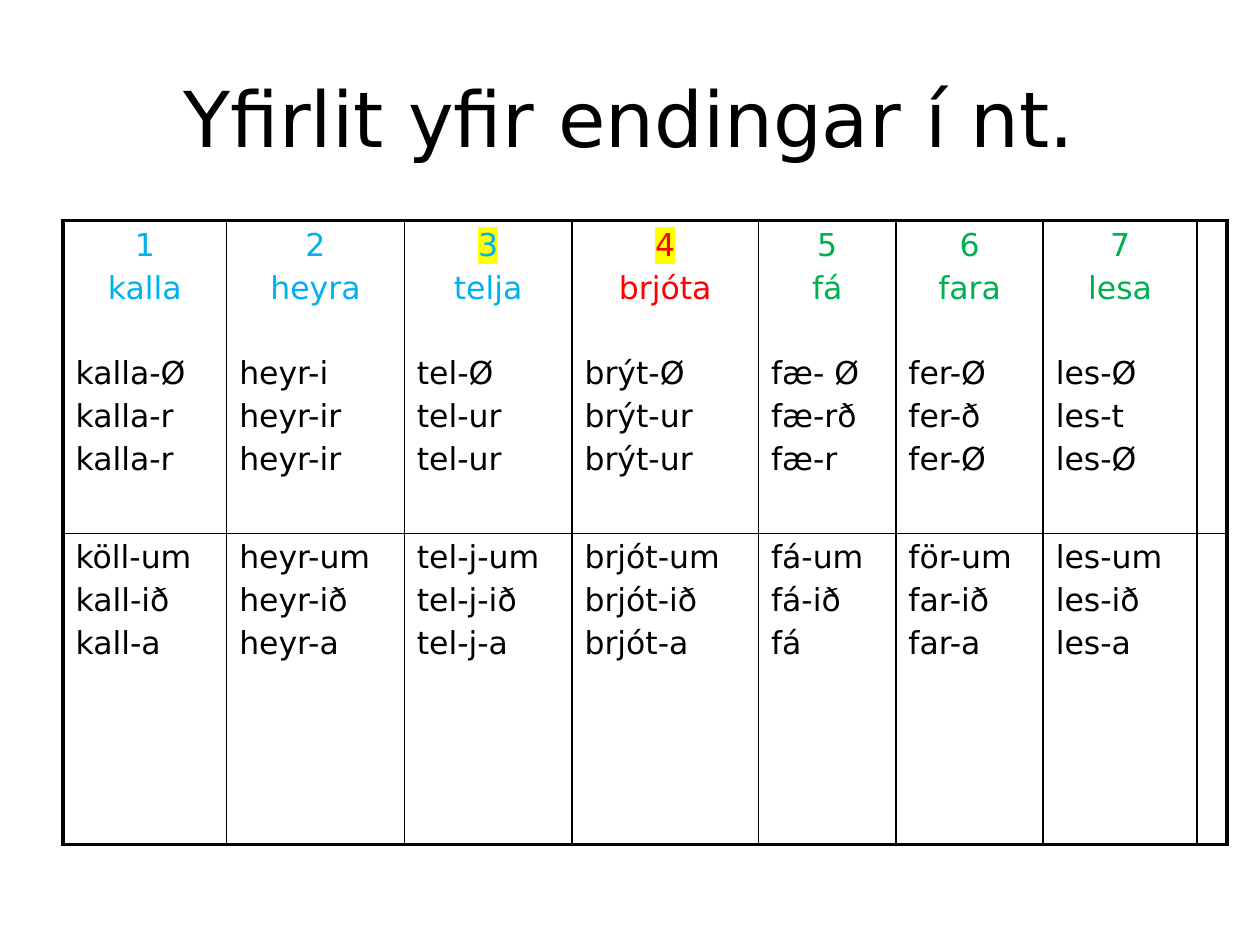
from lxml import etree
from pptx import Presentation
from pptx.dml.color import RGBColor
from pptx.enum.text import MSO_ANCHOR, PP_ALIGN
from pptx.oxml.ns import qn
from pptx.util import Cm, Pt

CENTER, LEFT = PP_ALIGN.CENTER, PP_ALIGN.LEFT
MIDDLE = MSO_ANCHOR.MIDDLE
FONT = "DejaVu Sans"
COLORS = {"black": "000000", "blue": "00B0F0", "red": "FF0000",
          "green": "00B050", "yellow": "FFFF00"}

TITLE = "Yfirlit yfir endingar í nt."
# number, verb, colour, number highlighted, singular forms, plural forms, width in cm
VERBS = [
    ("1", "kalla", "blue", False, ("kalla-Ø", "kalla-r", "kalla-r"),
     ("köll-um", "kall-ið", "kall-a"), 3.3),
    ("2", "heyra", "blue", False, ("heyr-i", "heyr-ir", "heyr-ir"),
     ("heyr-um", "heyr-ið", "heyr-a"), 3.58),
    ("3", "telja", "blue", True, ("tel-Ø", "tel-ur", "tel-ur"),
     ("tel-j-um", "tel-j-ið", "tel-j-a"), 3.38),
    ("4", "brjóta", "red", True, ("brýt-Ø", "brýt-ur", "brýt-ur"),
     ("brjót-um", "brjót-ið", "brjót-a"), 3.76),
    ("5", "fá", "green", False, ("fæ- Ø", "fæ-rð", "fæ-r"),
     ("fá-um", "fá-ið", "fá"), 2.77),
    ("6", "fara", "green", False, ("fer-Ø", "fer-ð", "fer-Ø"),
     ("för-um", "far-ið", "far-a"), 2.97),
    ("7", "lesa", "green", False, ("les-Ø", "les-t", "les-Ø"),
     ("les-um", "les-ið", "les-a"), 3.1),
]
EMPTY_COLUMN_WIDTH = 0.58
ROW_HEIGHTS = (6.3, 6.27)
LINE_GAP, GROUP_GAP = 3.6, 28.2
OUTER_LINE, INNER_LINE = 2.25, 1


def add_run(paragraph, text, size, color="black", highlighted=False):
    """Add one formatted run, optionally with a yellow highlight."""
    run = paragraph.add_run()
    run.text = text
    run.font.size = Pt(size)
    run.font.name = FONT
    run.font.color.rgb = RGBColor.from_string(COLORS[color])
    if highlighted:
        highlight = etree.Element(qn("a:highlight"))
        etree.SubElement(highlight, qn("a:srgbClr"), val=COLORS["yellow"])
        run.font._element.find(qn("a:solidFill")).addnext(highlight)


def add_line(cell, text, gap=LINE_GAP, alignment=LEFT, **style):
    """Add a line of text to a cell, with a gap above all but the first."""
    frame = cell.text_frame
    paragraph = frame.paragraphs[0]
    if paragraph.runs:
        paragraph = frame.add_paragraph()
        paragraph.space_before = Pt(gap)
    paragraph.alignment = alignment
    add_run(paragraph, text, 18, **style)


def set_borders(cell, widths):
    """Draw the left, right, top and bottom borders of a cell."""
    properties = cell._tc.get_or_add_tcPr()
    for index, (side, width) in enumerate(zip("LRTB", widths)):
        line = etree.Element(qn(f"a:ln{side}"), w=str(Pt(width)))
        fill = etree.SubElement(line, qn("a:solidFill"))
        etree.SubElement(fill, qn("a:srgbClr"), val=COLORS["black"])
        properties.insert(index, line)


def add_title(slide):
    """Add the centred title."""
    shape = slide.shapes.add_textbox(Cm(1.27), Cm(0.76), Cm(22.86), Cm(3.18))
    frame = shape.text_frame
    frame.word_wrap = True
    frame.vertical_anchor = MIDDLE
    frame.paragraphs[0].alignment = CENTER
    add_run(frame.paragraphs[0], TITLE, 44)


def add_verb_table(slide):
    """Add the table of verb endings, one verb to a column."""
    widths = [verb[-1] for verb in VERBS] + [EMPTY_COLUMN_WIDTH]
    rows, columns = len(ROW_HEIGHTS), len(widths)
    table = slide.shapes.add_table(rows, columns, Cm(1.27), Cm(4.45),
                                   Cm(sum(widths)), Cm(sum(ROW_HEIGHTS))).table
    table.first_row = table.horz_banding = False
    for column, width in zip(table.columns, widths):
        column.width = Cm(width)
    for row, height in zip(table.rows, ROW_HEIGHTS):
        row.height = Cm(height)

    for r in range(rows):
        for c in range(columns):
            cell = table.cell(r, c)
            cell.fill.background()
            edges = (c == 0, c == columns - 1, r == 0, r == rows - 1)
            set_borders(cell, [OUTER_LINE if edge else INNER_LINE for edge in edges])

    for c, (number, verb, color, marked, singular, plural, _) in enumerate(VERBS):
        upper, lower = table.cell(0, c), table.cell(1, c)
        add_line(upper, number, alignment=CENTER, color=color, highlighted=marked)
        add_line(upper, verb, alignment=CENTER, color=color)
        for index, form in enumerate(singular):
            add_line(upper, form, LINE_GAP if index else GROUP_GAP)
        for form in plural:
            add_line(lower, form)


presentation = Presentation()
presentation.slide_width, presentation.slide_height = Cm(25.4), Cm(19.05)
slide = presentation.slides.add_slide(presentation.slide_layouts[6])
add_title(slide)
add_verb_table(slide)
presentation.save("out.pptx")
